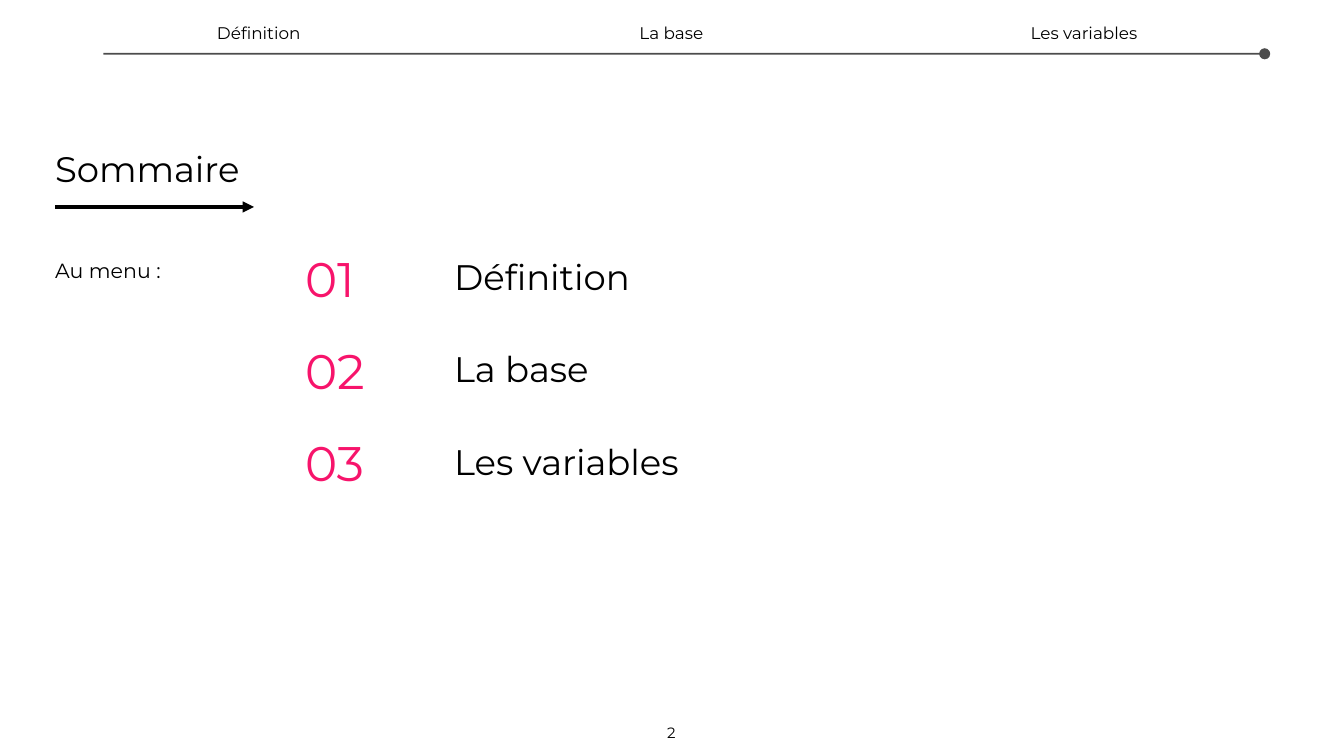
from dataclasses import dataclass

from lxml.etree import SubElement
from pptx import Presentation
from pptx.dml.color import RGBColor
from pptx.enum.shapes import MSO_CONNECTOR
from pptx.enum.text import MSO_ANCHOR as Anchor, MSO_AUTO_SIZE as AutoSize, PP_ALIGN as Align
from pptx.oxml.ns import qn
from pptx.util import Pt

PX = 9144  # 100 px to the inch
FONT = "Montserrat"
COLORS = {"ink": "000000", "accent": "F7146B"}
TOPICS = ["Définition", "La base", "Les variables"]


@dataclass
class Label:
    text: str
    left: int
    top: int
    width: int
    height: int
    size: int
    color: str = "ink"
    align: Align = Align.LEFT
    anchor: Anchor = Anchor.MIDDLE


@dataclass
class Rule:
    left: int
    right: int
    y: int
    weight: int
    end: str
    opacity: int = 100


def write_label(box, label: Label) -> None:
    """Place a text box or placeholder and fill it with the label."""
    for name in ("left", "top", "width", "height"):
        setattr(box, name, getattr(label, name) * PX)
    frame = box.text_frame
    frame_format = {
        "word_wrap": True,
        "auto_size": AutoSize.SHAPE_TO_FIT_TEXT,
        "vertical_anchor": label.anchor,
        **{f"margin_{side}": 2 * PX for side in ("left", "top", "right", "bottom")},
    }
    for name, value in frame_format.items():
        setattr(frame, name, value)
    para = frame.paragraphs[0]
    para.alignment = label.align
    span = para.add_run()
    span.text = label.text
    for name, value in {"name": FONT, "size": Pt(label.size), "bold": False}.items():
        setattr(span.font, name, value)
    span.font.color.rgb = RGBColor.from_string(COLORS[label.color])


def add_label(page, label: Label) -> None:
    write_label(page.shapes.add_textbox(0, 0, PX, PX), label)


def add_rule(page, rule: Rule) -> None:
    """Draw a horizontal line with an end mark on its right."""
    line = page.shapes.add_connector(
        MSO_CONNECTOR.STRAIGHT, rule.left * PX, rule.y * PX, rule.right * PX, rule.y * PX
    )
    line.line.width = Pt(rule.weight)
    line.line.color.rgb = RGBColor.from_string(COLORS["ink"])
    outline = line.line._get_or_add_ln()
    if rule.opacity < 100:
        color = outline.find(f".//{qn('a:srgbClr')}")
        SubElement(color, qn("a:alpha"), val=str(rule.opacity * 1000))
    SubElement(outline, qn("a:tailEnd"), type=rule.end)
    SubElement(line._element.spPr, qn("a:effectLst"))


def main() -> None:
    deck = Presentation()
    deck.slide_width = 1000 * PX
    deck.slide_height = deck.slide_width * 9 // 16
    page = deck.slides.add_slide(deck.slide_layouts[5])

    add_rule(page, Rule(41, 189, 154, 2, "triangle"))
    write_label(page.shapes.title, Label("Sommaire", 39, 107, 419, 36, 19))
    add_label(page, Label("Au menu :", 39, 190, 144, 23, 11))

    for index, topic in enumerate(TOPICS):
        top = 183 + index * 137 // 2
        add_label(page, Label(f"{index + 1:02}", 225, top, 65, 48, 26, "accent"))
        add_label(page, Label(topic, 336, top + 5, 427, 36, 19))

    add_label(page, Label("2", 492, 536, 15, 18, 8, align=Align.CENTER, anchor=Anchor.BOTTOM))

    add_rule(page, Rule(77, 941, 40, 1, "oval", opacity=70))
    for index, topic in enumerate(TOPICS):
        add_label(page, Label(topic, 114 + index * 307, 15, 157, 19, 9, align=Align.CENTER))

    deck.save("out.pptx")


if __name__ == "__main__":
    main()
